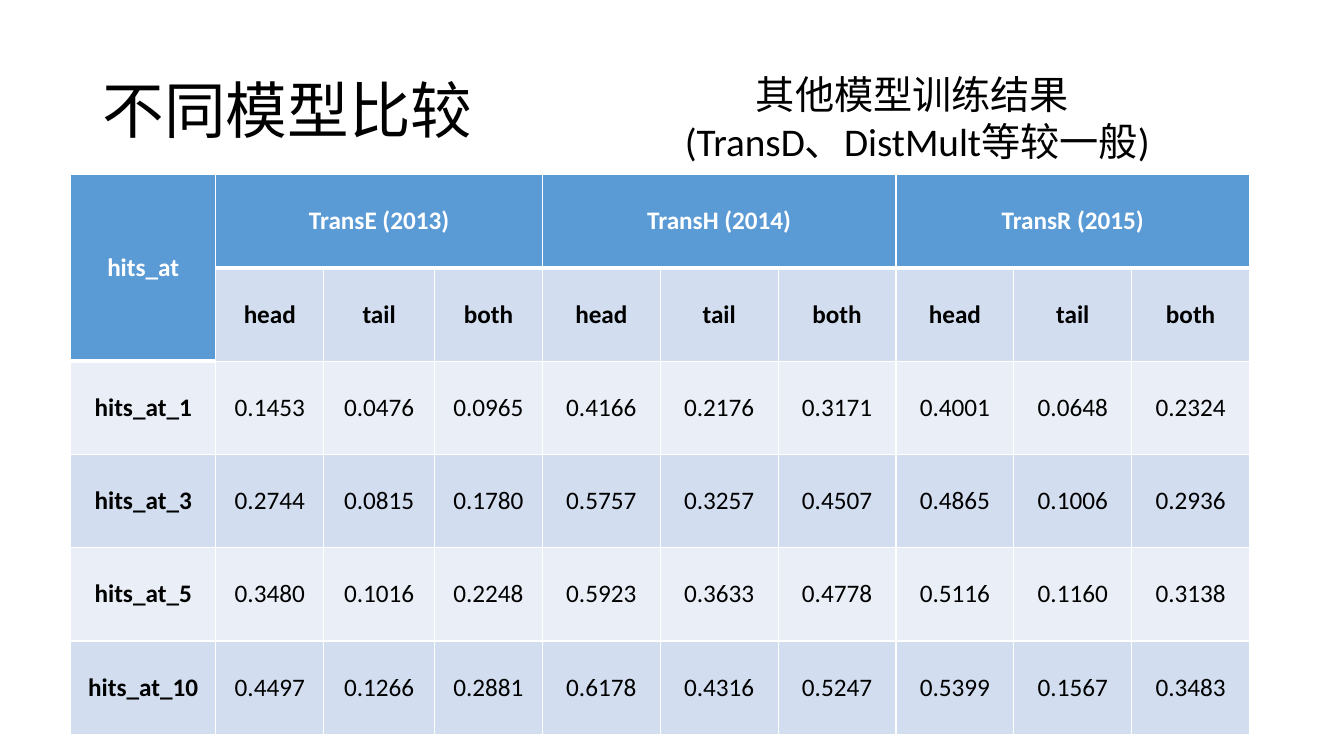
from pptx import Presentation
from pptx import util as u
from pptx.dml.color import RGBColor
from pptx.enum import text
from pptx.oxml import parse_xml
from pptx.oxml.ns import nsdecls

TITLE = "不同模型比较"
NOTE = [("其他模型训练结果", 2.01), ("(TransD、DistMult等较一般)", 0.22)]  # text, indent in cm
CORNER = "hits_at"
MODELS = ["TransE (2013)", "TransH (2014)", "TransR (2015)"]
SIDES = ["head", "tail", "both"]
SCORES = {
    "hits_at_1": "0.1453 0.0476 0.0965 0.4166 0.2176 0.3171 0.4001 0.0648 0.2324",
    "hits_at_3": "0.2744 0.0815 0.1780 0.5757 0.3257 0.4507 0.4865 0.1006 0.2936",
    "hits_at_5": "0.3480 0.1016 0.2248 0.5923 0.3633 0.4778 0.5116 0.1160 0.3138",
    "hits_at_10": "0.4497 0.1266 0.2881 0.6178 0.4316 0.5247 0.5399 0.1567 0.3483",
}


class Theme:
    font = "Calibri"
    ink, white = "000000", "FFFFFF"
    head, bands = "5B9BD5", ("EAEFF7", "D2DEEF")
    title, note, cell = 44, 28, 18
    thin, thick = 1, 3


COLS = [3.66, 2.72, 2.79, 2.72] + [2.97] * 6
ROW = 2.35


def write(para, words, size, color=Theme.ink, bold=False):
    run = para.add_run()
    run.text = words
    font = run.font
    font.name, font.size, font.bold = Theme.font, u.Pt(size), bold
    font.color.rgb = RGBColor.from_string(color)


def frame(slide, *box):
    """Add a wrapping text box at left, top, width, height in cm."""
    body = slide.shapes.add_textbox(*map(u.Cm, box)).text_frame
    body.word_wrap = True
    return body


def edge(cell, top, bottom):
    """Draw white borders; the sides are thin."""
    props = cell._tc.get_or_add_tcPr()
    for side, width in zip("LRTB", (Theme.thin, Theme.thin, top, bottom)):
        props.append(parse_xml(
            f'<a:ln{side} {nsdecls("a")} w="{u.Pt(width)}"><a:solidFill>'
            f'<a:srgbClr val="{Theme.white}"/></a:solidFill></a:ln{side}>'))


def draw_table(slide):
    span = len(SIDES)
    top = [CORNER]
    for model in MODELS:
        top += [model] + [""] * (span - 1)
    grid = [top, [""] + SIDES * len(MODELS)]
    grid += [[name] + line.split() for name, line in SCORES.items()]

    table = slide.shapes.add_table(
        len(grid), len(COLS), u.Cm(1.78), u.Cm(4.4),
        u.Cm(sum(COLS)), u.Cm(ROW * len(grid))).table
    for col, width in zip(table.columns, COLS):
        col.width = u.Cm(width)
    for row in table.rows:
        row.height = u.Cm(ROW)

    table.cell(0, 0).merge(table.cell(1, 0))
    for c in range(1, len(COLS), span):
        table.cell(0, c).merge(table.cell(0, c + span - 1))

    for r, line in enumerate(grid):
        for c, words in enumerate(line):
            cell = table.cell(r, c)
            deep = 2 if c == 0 else 1  # header rows in this column
            head = r < deep
            edge(cell, Theme.thick if r == deep else Theme.thin,
                 Theme.thick if head else Theme.thin)
            cell.fill.solid()
            cell.fill.fore_color.rgb = RGBColor.from_string(
                Theme.head if head else Theme.bands[r % 2])
            cell.vertical_anchor = text.MSO_ANCHOR.MIDDLE
            para = cell.text_frame.paragraphs[0]
            para.alignment = text.PP_ALIGN.CENTER
            if words:
                write(para, words, Theme.cell, Theme.white if head else Theme.ink,
                      bold=r < 2 or c == 0)


def main():
    deck = Presentation()
    deck.slide_width, deck.slide_height = u.Cm(33.87), u.Cm(19.05)
    slide = deck.slides.add_slide(deck.slide_layouts[6])

    title = frame(slide, 2.34, 1.01, 29.21, 3.68)
    title.vertical_anchor = text.MSO_ANCHOR.MIDDLE
    title.paragraphs[0].line_spacing = 0.9
    write(title.paragraphs[0], TITLE, Theme.title)

    note = frame(slide, 16.79, 1.98, 17, 2.72)
    for i, (words, indent) in enumerate(NOTE):
        para = note.add_paragraph() if i else note.paragraphs[0]
        para.line_spacing, para.space_before = 0.7, u.Pt(10)
        para._p.get_or_add_pPr().set("marL", str(u.Cm(indent)))
        write(para, words, Theme.note)

    draw_table(slide)
    deck.save("out.pptx")


if __name__ == "__main__":
    main()
